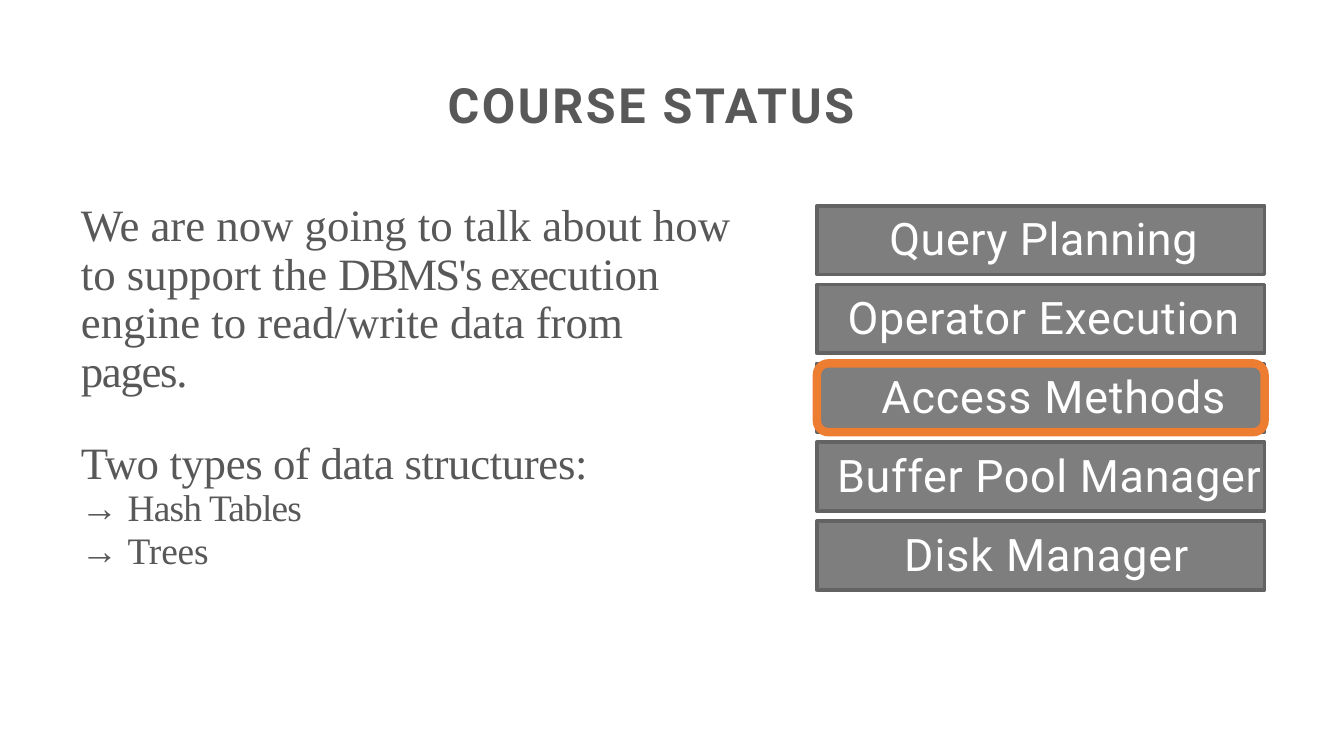
from dataclasses import dataclass

from pptx import Presentation
from pptx.dml.color import RGBColor
from pptx.enum.shapes import MSO_SHAPE as Preset
from pptx.enum.text import MSO_ANCHOR as Anchor, PP_ALIGN as Align
from pptx.util import Cm, Pt

COLOURS = {
    "text": "585858",
    "label": "FFFFFF",
    "layer": "7E7E7E",
    "layer_edge": "636363",
    "highlight": "ED7D31",
}
SANS, SERIF = "Roboto", "Times New Roman"


@dataclass
class Layer:
    name: str
    indent: float  # cm
    tracking: float  # pt
    current: bool = False


@dataclass
class Line:
    pieces: list[tuple[str, float]]  # wording and tracking in pt
    size: float
    spacing: float
    before: float = 0


LAYERS = [
    Layer("Query Planning", 1.37, 0.3),
    Layer("Operator Execution", 0.58, 0.4),
    Layer("Access Methods", 1.22, 0.45, current=True),
    Layer("Buffer Pool Manager", 0.38, 0.4),
    Layer("Disk Manager", 1.65, 0.5),
]
LAYER_LEFT, LAYER_TOP, LAYER_PITCH = 15.44, 3.89, 1.49
LAYER_WIDTH, LAYER_HEIGHT = 8.46, 1.3

BODY = [
    Line([("We are now going to talk about how to support the ", 0),
          ("DBMS's exec", -0.9),
          ("ution engine to read/write data from ", 0),
          ("pages.", -0.7)], 24, 25.9),
    Line([("Two types of data structures:", -0.2)], 24, 27.8, before=21.8),
    Line([("→ ", 0), ("Hash Tables", -0.45)], 20, 21.8),
    Line([("→ ", 0), ("Trees", -0.1)], 20, 22.8),
]


def colour(name: str) -> RGBColor:
    return RGBColor.from_string(COLOURS[name])


def style(run, font: str, size: float, ink: str, tracking: float, bold: bool = False) -> None:
    run.font.name = font
    run.font.size = Pt(size)
    run.font.bold = bold
    run.font.color.rgb = colour(ink)
    run._r.get_or_add_rPr().set("spc", str(round(tracking * 100)))


def prepare(frame, left: float, top: float, anchor: Anchor) -> None:
    frame.word_wrap = True
    frame.vertical_anchor = anchor
    frame.margin_left, frame.margin_top = Cm(left), Cm(top)
    frame.margin_right = frame.margin_bottom = 0


def add_box(slide, preset: Preset, top: float, edge: str, edge_width: float):
    box = slide.shapes.add_shape(
        preset, Cm(LAYER_LEFT), Cm(top), Cm(LAYER_WIDTH), Cm(LAYER_HEIGHT))
    box.shadow.inherit = False
    box.fill.background()
    box.line.color.rgb = colour(edge)
    box.line.width = Pt(edge_width)
    return box


def add_layer(slide, layer: Layer, top: float) -> None:
    box = add_box(slide, Preset.RECTANGLE, top, "layer_edge", 2)
    box.fill.solid()
    box.fill.fore_color.rgb = colour("layer")
    prepare(box.text_frame, layer.indent, 0.1, Anchor.TOP)
    box.text_frame.text = layer.name
    label = box.text_frame.paragraphs[0]
    label.alignment = Align.LEFT
    style(label.runs[0], SANS, 24, "label", layer.tracking)


def add_title(slide, wording: str) -> None:
    title = slide.shapes.add_textbox(Cm(8.43), Cm(1.35), Cm(8.43), Cm(1.17)).text_frame
    prepare(title, 0.03, 0.06, Anchor.MIDDLE)
    title.text = wording
    style(title.paragraphs[0].runs[0], SANS, 26, "text", 1.35, bold=True)


def add_body(slide, lines: list[Line]) -> None:
    body = slide.shapes.add_textbox(Cm(1.5), Cm(3.68), Cm(12.45), Cm(6.25)).text_frame
    prepare(body, 0.03, 0.15, Anchor.TOP)
    for number, line in enumerate(lines):
        paragraph = body.add_paragraph() if number else body.paragraphs[0]
        paragraph.line_spacing = Pt(line.spacing)
        if line.before:
            paragraph.space_before = Pt(line.before)
        for wording, tracking in line.pieces:
            run = paragraph.add_run()
            run.text = wording
            style(run, SERIF, line.size, "text", tracking)


def main() -> None:
    deck = Presentation()
    deck.slide_width, deck.slide_height = Cm(25.4), Cm(14.29)
    slide = deck.slides.add_slide(deck.slide_layouts[6])

    # Heading and explanation
    add_title(slide, "COURSE STATUS")
    add_body(slide, BODY)

    # System layers, with a frame around the current one
    for number, layer in enumerate(LAYERS):
        top = LAYER_TOP + number * LAYER_PITCH
        add_layer(slide, layer, top)
        if layer.current:
            add_box(slide, Preset.ROUNDED_RECTANGLE, top, "highlight", 4.5)

    deck.save("out.pptx")


if __name__ == "__main__":
    main()
